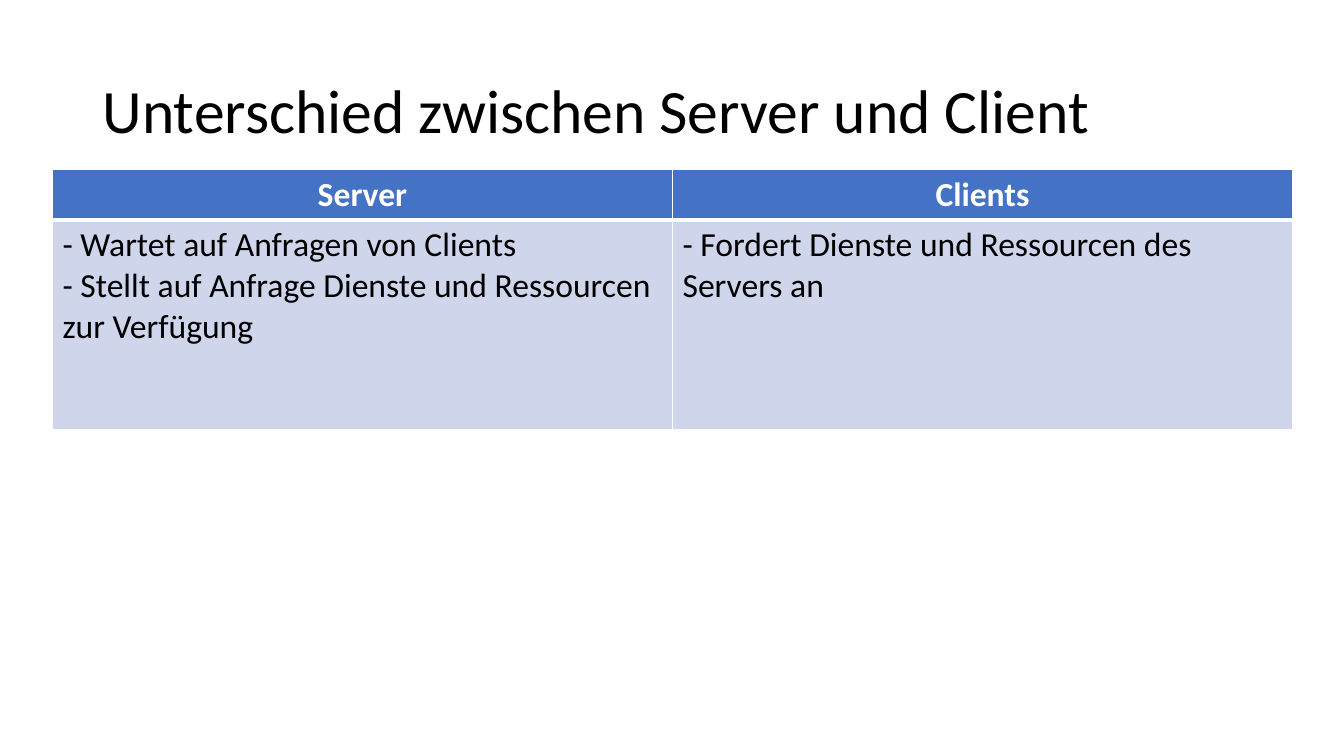
from lxml import etree
from pptx import Presentation
from pptx.dml.color import RGBColor
from pptx.enum.text import MSO_ANCHOR, PP_ALIGN
from pptx.oxml.ns import qn
from pptx.util import Inches, Pt

MIDDLE = MSO_ANCHOR.MIDDLE
LEFT, CENTER = PP_ALIGN.LEFT, PP_ALIGN.CENTER
BLACK = RGBColor(0x00, 0x00, 0x00)
WHITE = RGBColor(0xFF, 0xFF, 0xFF)
BLUE = RGBColor(0x44, 0x72, 0xC4)
PALE_BLUE = RGBColor(0xCF, 0xD5, 0xEA)
FONT = "Calibri"

TITLE = "Unterschied zwischen Server und Client"
ROWS = [
    ["Server", "Clients"],
    ["- Wartet auf Anfragen von Clients\n"
     "- Stellt auf Anfrage Dienste und Ressourcen zur Verfügung",
     "- Fordert Dienste und Ressourcen des Servers an"],
]
HEADER_SHARE = 0.5 / 2.58


def style_text(p, size, color, bold=False, align=LEFT):
    p.alignment = align
    for r in p.runs:
        r.font.name = FONT
        r.font.size = Pt(size)
        r.font.bold = bold
        r.font.color.rgb = color


def set_borders(cell, widths):
    tcPr = cell._tc.get_or_add_tcPr()
    for side, width in widths.items():
        ln = etree.SubElement(tcPr, qn(f"a:ln{side}"), w=str(Pt(width)))
        fill = etree.SubElement(ln, qn("a:solidFill"))
        etree.SubElement(fill, qn("a:srgbClr"), val=str(WHITE))


def add_title(s, left, top, width, height):
    tf = s.shapes.add_textbox(left, top, width, height).text_frame
    tf.word_wrap = True
    tf.vertical_anchor = MIDDLE
    tf.text = TITLE
    p = tf.paragraphs[0]
    p.line_spacing = 0.9
    style_text(p, 44, BLACK)


def add_comparison(s, left, top, width, height):
    table = s.shapes.add_table(len(ROWS), len(ROWS[0]), left, top, width, height).table
    header_height = int(height * HEADER_SHARE)
    table.rows[0].height = header_height
    table.rows[1].height = height - header_height
    for i, texts in enumerate(ROWS):
        header = i == 0
        widths = {"L": 1, "R": 1, "T": 1 if header else 3, "B": 3 if header else 1}
        for j, text in enumerate(texts):
            cell = table.cell(i, j)
            set_borders(cell, widths)
            cell.fill.solid()
            cell.fill.fore_color.rgb = BLUE if header else PALE_BLUE
            cell.text_frame.text = text
            for p in cell.text_frame.paragraphs:
                style_text(p, 24, WHITE if header else BLACK, header,
                           CENTER if header else LEFT)


def main():
    prs = Presentation()
    prs.slide_width, prs.slide_height = Inches(13.33), Inches(7.5)
    s = prs.slides.add_slide(prs.slide_layouts[6])
    add_title(s, Inches(0.92), Inches(0.4), Inches(11.5), Inches(1.45))
    add_comparison(s, Inches(0.52), Inches(1.68), Inches(12.3), Inches(2.58))
    prs.save("out.pptx")


if __name__ == "__main__":
    main()
